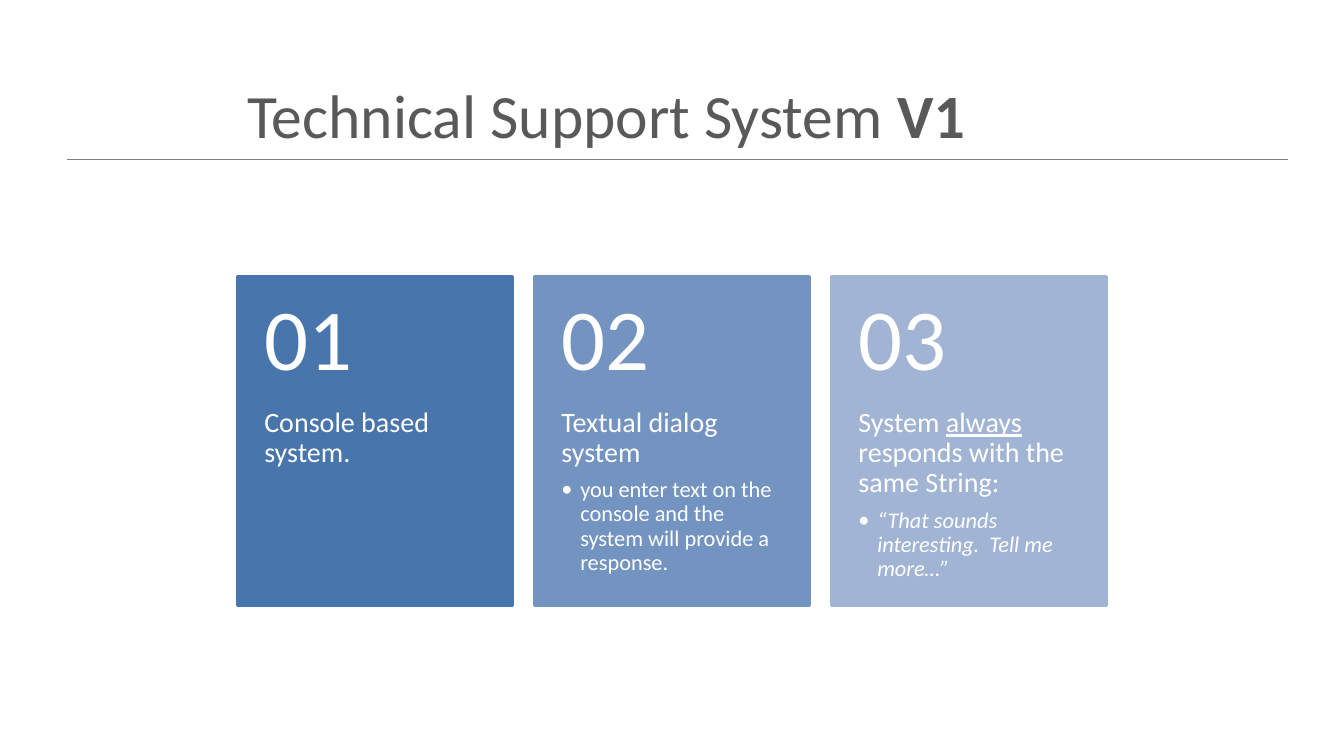
import dataclasses

import pptx
import pptx.dml.color
import pptx.enum.shapes
import pptx.enum.text
import pptx.oxml
import pptx.oxml.ns
import pptx.util

Pt = pptx.util.Pt
RGBColor = pptx.dml.color.RGBColor
Anchor = pptx.enum.text.MSO_ANCHOR

TITLE_ONLY_LAYOUT = 5
CARD_LEFT, CARD_TOP, CARD_WIDTH, CARD_PITCH = 169.5, 197.3, 196.6, 212.2
NUMBER_HEIGHT, BODY_HEIGHT = 94.3, 141.1
SIDE_INSET = 19.3


@dataclasses.dataclass(frozen=True)
class Theme:
    font: str = "Calibri"
    title_color: str = "595959"
    rule_color: str = "808080"
    card_text_color: str = "FFFFFF"
    card_colors: tuple = ("4875AC", "7393C1", "A2B4D4")
    title_size: float = 44
    number_size: float = 62
    heading_size: float = 20
    bullet_size: float = 16


THEME = Theme()

# Each card has a heading and a bullet, given as lists of (text, run format).
CARDS = [
    ([("Console based system.", {})], []),
    (
        [("Textual dialog system", {})],
        [("you enter text on the console and the system will provide a response.", {})],
    ),
    (
        [
            ("System ", {}),
            ("always", {"underline": True}),
            (" responds with the same String:", {}),
        ],
        [("“That sounds interesting.  Tell me more…”", {"italic": True})],
    ),
]


def make_element(tag, attributes=""):
    return pptx.oxml.parse_xml(
        f'<a:{tag} {pptx.oxml.ns.nsdecls("a")} {attributes}/>'
    )


def add_runs(paragraph, runs, size, color):
    for text, formats in runs:
        run = paragraph.add_run()
        run.text = text
        run.font.name = THEME.font
        run.font.size = Pt(size)
        run.font.color.rgb = RGBColor.from_string(color)
        for name, value in formats.items():
            setattr(run.font, name, value)


def add_card_paragraph(paragraph, runs, size, space_after):
    paragraph.line_spacing = 0.9
    paragraph.space_after = Pt(space_after)
    add_runs(paragraph, runs, size, THEME.card_text_color)


def set_bullet(paragraph):
    properties = paragraph._p.get_or_add_pPr()
    indent = Pt(13.5)
    properties.set("marL", str(indent))
    properties.set("indent", str(-indent))
    properties.append(make_element("buFont", f'typeface="{THEME.font}"'))
    properties.append(make_element("buChar", 'char="•"'))


def add_text_box(slide, left, top, height, anchor, inset_top, inset_bottom):
    box = slide.shapes.add_textbox(Pt(left), Pt(top), Pt(CARD_WIDTH), Pt(height))
    text_frame = box.text_frame
    text_frame.word_wrap = True
    text_frame.vertical_anchor = anchor
    text_frame.margin_left = text_frame.margin_right = Pt(SIDE_INSET)
    text_frame.margin_top = Pt(inset_top)
    text_frame.margin_bottom = Pt(inset_bottom)
    return text_frame


def add_card(slide, index, heading, bullet):
    left = CARD_LEFT + index * CARD_PITCH
    color = RGBColor.from_string(THEME.card_colors[index])
    card = slide.shapes.add_shape(
        pptx.enum.shapes.MSO_SHAPE.RECTANGLE,
        Pt(left), Pt(CARD_TOP), Pt(CARD_WIDTH), Pt(NUMBER_HEIGHT + BODY_HEIGHT),
    )
    card.shadow.inherit = False
    card.fill.solid()
    card.fill.fore_color.rgb = color
    card.line.color.rgb = color
    card.line.width = Pt(2)

    body = add_text_box(
        slide, left, CARD_TOP + NUMBER_HEIGHT, BODY_HEIGHT, Anchor.TOP, 0, 26
    )
    add_card_paragraph(body.paragraphs[0], heading, THEME.heading_size, 7)
    if bullet:
        paragraph = body.add_paragraph()
        paragraph.level = 1
        add_card_paragraph(paragraph, bullet, THEME.bullet_size, 2.4)
        set_bullet(paragraph)

    number = add_text_box(
        slide, left, CARD_TOP, NUMBER_HEIGHT, Anchor.MIDDLE, 13, 13
    )
    add_card_paragraph(
        number.paragraphs[0], [(f"{index + 1:02d}", {})], THEME.number_size, 0
    )


def add_title(slide):
    title = slide.shapes.title
    title.left, title.top = Pt(CARD_LEFT), Pt(28.8)
    title.width, title.height = Pt(620.6), Pt(104.4)
    title.text_frame.vertical_anchor = Anchor.MIDDLE
    paragraph = title.text_frame.paragraphs[0]
    paragraph.alignment = pptx.enum.text.PP_ALIGN.LEFT
    runs = [("Technical Support System ", {}), ("V1", {"bold": True})]
    add_runs(paragraph, runs, THEME.title_size, THEME.title_color)


def add_title_rule(slide):
    rule = slide.shapes.add_connector(
        pptx.enum.shapes.MSO_CONNECTOR.STRAIGHT,
        Pt(48), Pt(113.8), Pt(920), Pt(113.8),
    )
    rule.line.color.rgb = RGBColor.from_string(THEME.rule_color)
    rule.line.width = Pt(1)
    rule._element.spPr.append(make_element("effectLst"))


def main():
    presentation = pptx.Presentation()
    presentation.slide_width, presentation.slide_height = Pt(960), Pt(540)
    layout = presentation.slide_layouts[TITLE_ONLY_LAYOUT]
    slide = presentation.slides.add_slide(layout)
    add_title_rule(slide)
    add_title(slide)
    for index, (heading, bullet) in enumerate(CARDS):
        add_card(slide, index, heading, bullet)
    presentation.save("out.pptx")


if __name__ == "__main__":
    main()
